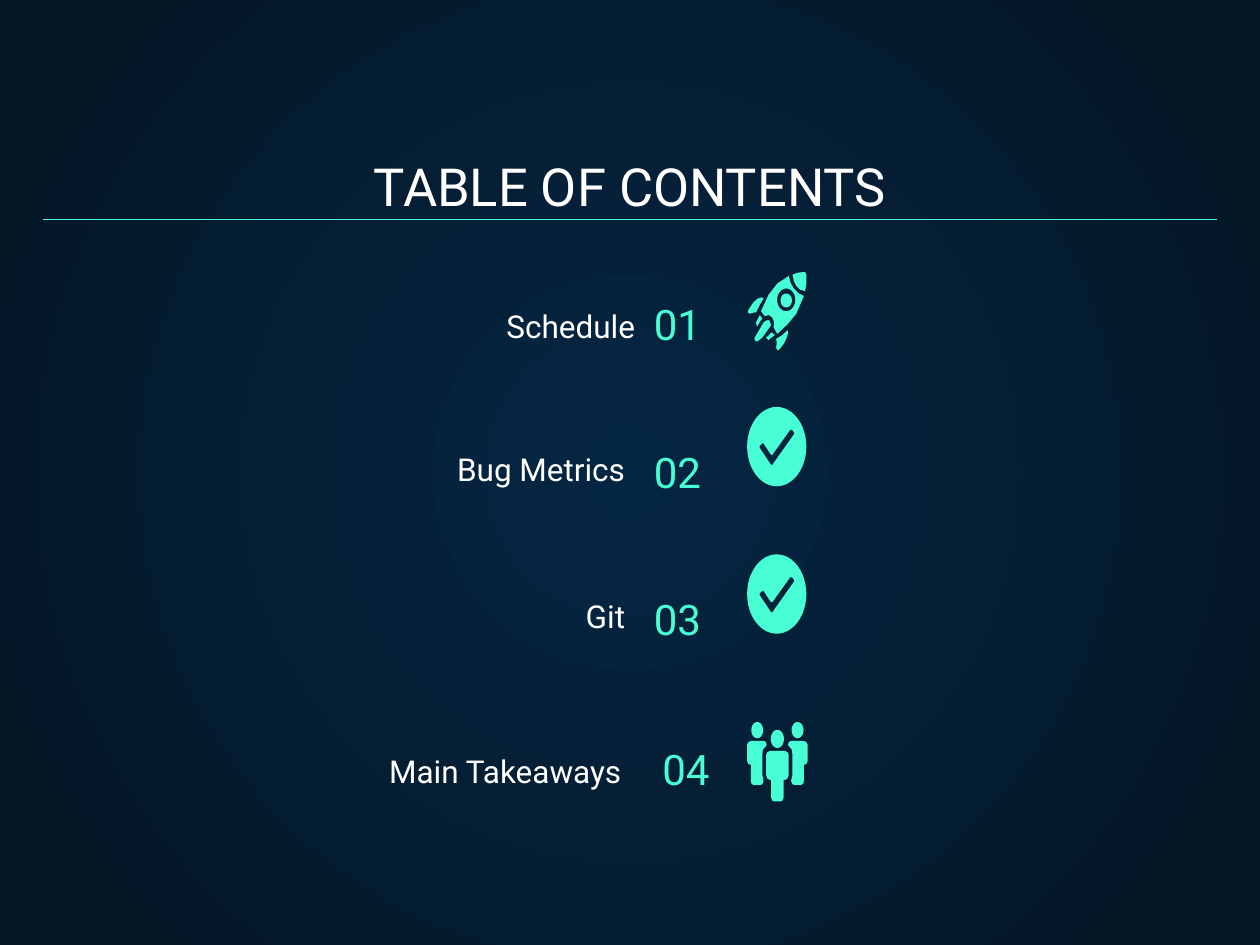
from math import cos, pi, sin

from lxml import etree
from pptx import Presentation
from pptx.dml.color import RGBColor
from pptx.enum.shapes import MSO_CONNECTOR
from pptx.enum.text import MSO_ANCHOR, MSO_AUTO_SIZE, PP_ALIGN
from pptx.oxml.ns import qn
from pptx.util import Inches, Pt

LEFT, MID, RIGHT = PP_ALIGN.LEFT, PP_ALIGN.CENTER, PP_ALIGN.RIGHT
BOTTOM, FIXED = MSO_ANCHOR.BOTTOM, MSO_AUTO_SIZE.NONE
STRAIGHT = MSO_CONNECTOR.STRAIGHT


class Theme:
    font = "Roboto"
    white = RGBColor.from_string("FFFFFF")
    mint = RGBColor.from_string("48FFD5")
    glow = RGBColor.from_string("052643")
    edge = RGBColor.from_string("041523")
    title, number, label, rule = Pt(30), Pt(24), Pt(18), Pt(0.75)


deck = Presentation()
deck.slide_width, deck.slide_height = Inches(10), Inches(7.5)
UNIT = deck.slide_width // 1000  # the slide is a grid of 1000 by 750
slide = deck.slides.add_slide(deck.slide_layouts[6])
shapes = slide.shapes


def write(text, x, y, w, h, size, color, align):
    box = shapes.add_textbox(*(n * UNIT for n in (x, y, w, h)))
    frame = box.text_frame
    frame.word_wrap, frame.auto_size = True, FIXED
    frame.vertical_anchor = BOTTOM
    frame.margin_left = frame.margin_right = Inches(0.1)
    frame.margin_top = frame.margin_bottom = Inches(0.1)
    para = frame.paragraphs[0]
    para.text, para.alignment = text, align
    para.font.name, para.font.size = Theme.font, size
    para.font.color.rgb = color


def draw(x, y, *rings):
    """Fill the rings as one shape; a ring is a point list or an oval (cx, cy, rx, ry)."""
    pen = None
    for ring in rings:
        if isinstance(ring, tuple):
            cx, cy, rx, ry = ring
            turns = [k * pi / 24 for k in range(48)]
            ring = [(cx + rx * cos(t), cy + ry * sin(t)) for t in turns]
        dots = [(round((x + a) * UNIT), round((y + b) * UNIT)) for a, b in ring]
        if pen is None:
            pen = shapes.build_freeform(*dots[0], scale=1.0)
        else:
            pen.move_to(*dots[0])
        pen.add_line_segments(dots[1:], close=True)
    shape = pen.convert_to_shape()
    shape.shadow.inherit = False
    shape.fill.solid()
    shape.fill.fore_color.rgb = Theme.mint
    shape.line.fill.background()


# Background glow from the centre
fill = slide.background.fill
fill.gradient()
for stop, color in zip(fill.gradient_stops, (Theme.glow, Theme.edge)):
    stop.color.rgb = color
for stop, place in zip(fill.gradient_stops, (0, 1)):
    stop.position = place
grad = slide.background._cSld.find(".//" + qn("a:gradFill"))
grad.remove(grad.find(qn("a:lin")))
glow = etree.SubElement(grad, qn("a:path"), path="circle")
etree.SubElement(glow, qn("a:fillToRect"), l="50000", t="50000", r="50000", b="50000")

# Title and rule
write("TABLE OF CONTENTS", 34, 94, 932, 88, Theme.title, Theme.white, MID)
rule = shapes.add_connector(STRAIGHT, 34 * UNIT, 174 * UNIT, 966 * UNIT, 174 * UNIT)
rule.line.color.rgb, rule.line.width = Theme.mint, Theme.rule
etree.SubElement(rule._element.spPr, qn("a:effectLst"))

# Contents: label, its place and side; number, its place and side
rows = [
    ("Schedule", 287, 255, RIGHT, "01", 509, 199, LEFT),
    ("Bug Metrics", 279, 368, RIGHT, "02", 509, 316, LEFT),
    ("Git", 279, 485, RIGHT, "03", 509, 433, LEFT),
    ("Main Takeaways", 299, 608, LEFT, "04", 444, 552, RIGHT),
]
for label, lx, ly, lside, number, nx, ny, nside in rows:
    write(label, lx, ly, 227, 29, Theme.label, Theme.white, lside)
    write(number, nx, ny, 129, 88, Theme.number, Theme.mint, nside)

# Icons share one column
COL = 593
rocket = [
    [[(10, 34), (8, 38), (7, 40), (7.5, 42), (8, 43), (11, 38), (12, 37)]],
    [[(20, 48), (19, 48), (17, 50.5), (15, 52), (16, 53), (17, 54), (18, 53), (22, 50)]],
    [[(17, 38), (15, 38.5), (13, 40), (9, 47), (6, 52), (6, 54), (7, 55), (8, 55),
      (12, 52), (17, 45), (19, 42), (18, 39)]],
    [[(12, 20), (8.5, 21), (5, 24), (1, 30), (0.5, 32), (2, 33), (6, 32), (7, 32),
      (10, 26), (13, 21)]],
    [[(32, 46), (28, 50), (23, 53), (23.5, 56), (23, 60), (24, 62), (25, 62), (29, 57),
      (31.5, 52), (32.5, 48)]],
    [(31, 22.5, 4.5, 5.5)],
    [[(44, 0), (40, 0.5), (36, 2), (37, 7), (39, 11), (42, 14), (46, 15), (47, 9),
      (47, 2), (46, 0)]],
    [[(33, 3), (24, 9), (17, 18), (11, 31), (14, 35), (17, 34), (20, 36), (21.5, 40),
      (21, 44), (24, 49), (32, 41.5), (39, 33), (45, 19), (41, 17), (37, 13), (34.5, 8.5)],
     (31, 22, 7.2, 9)],
]
for part in rocket:
    draw(COL, 216, *part)

tick = [(35, 18), (36, 18.5), (37, 20), (37.5, 21), (37, 22), (20, 46), (19, 46),
        (11, 34), (10, 32.5), (10, 31), (12, 29), (13, 29), (19, 38), (20, 38), (34, 18.5)]
for top in (323, 440):
    draw(COL, top, (23.5, 31.5, 23.5, 31.5), tick)

side = [(3, 15), (13, 15), (15, 16), (15.5, 18.5), (12.5, 22), (12, 26), (12, 42),
        (13, 46), (13, 47), (12, 49.5), (10, 50), (5, 50), (3.5, 49), (3, 47), (3, 34),
        (1, 33.5), (0, 31), (0, 18), (1, 16)]
half = [(18, 23), (16, 24), (15, 26), (15, 42), (16, 45), (18, 46), (19, 46), (19, 60),
        (20, 62.5), (21, 63)]
flip = [(48 - a, b) for a, b in side]
front = half + [(48 - a, b) for a, b in reversed(half)]
for part in ((8, 6.5, 4.7, 6.4), side, (40, 6.5, 4.7, 6.4), flip, front, (24, 13.5, 5.2, 7.2)):
    draw(COL, 573, part)

deck.save("out.pptx")
